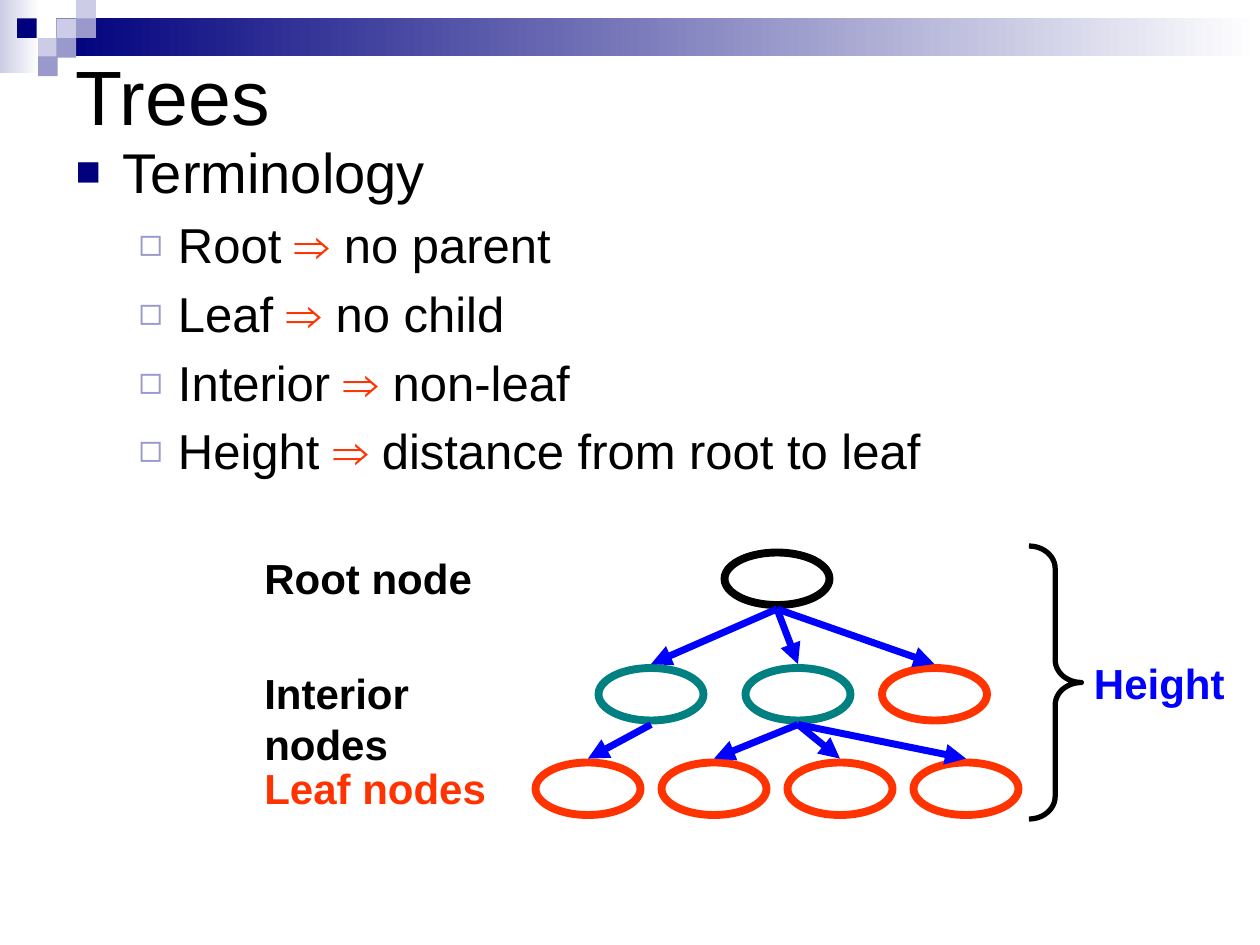
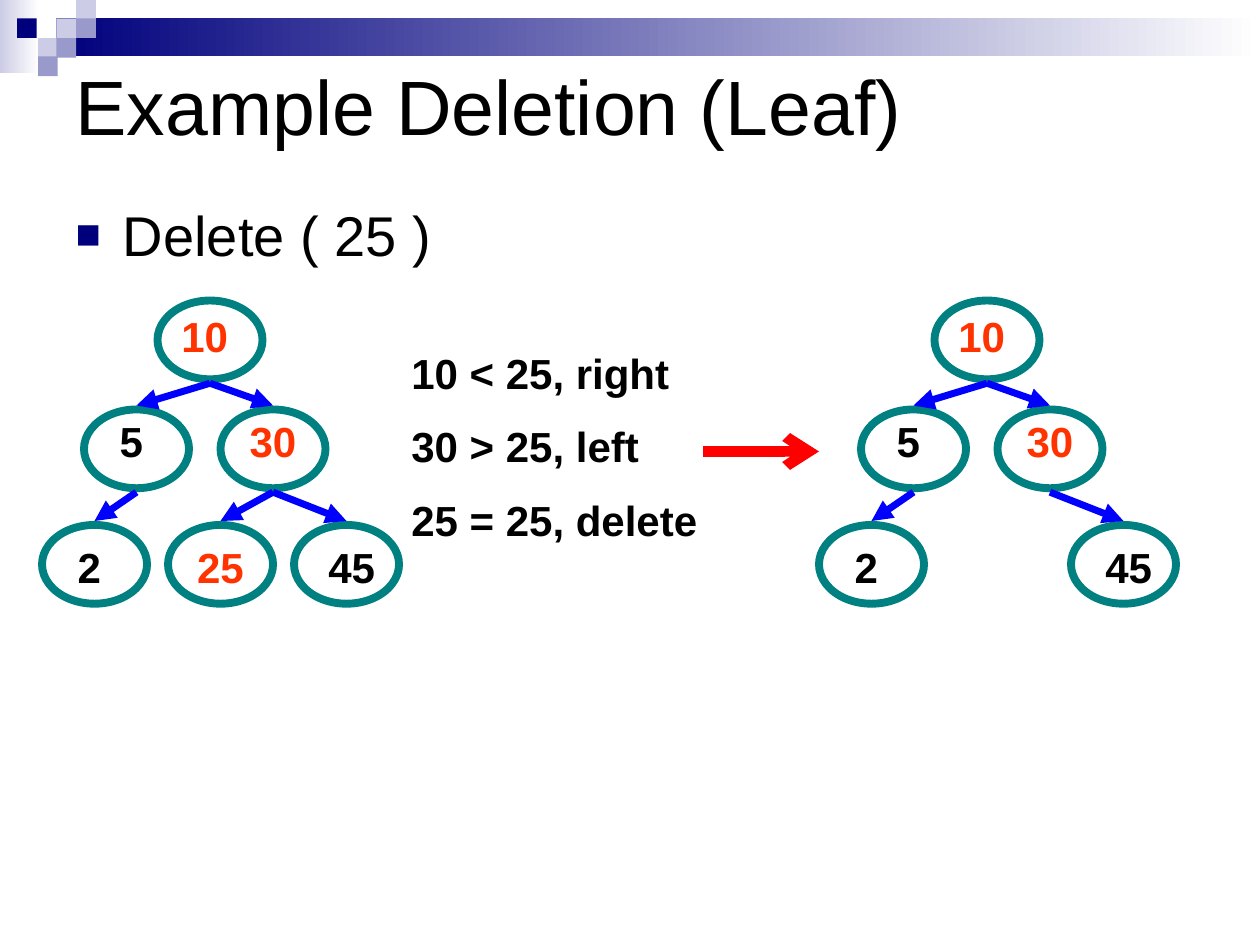
import pptx
import pptx.util
import pptx.dml.color
import pptx.enum.shapes
import pptx.enum.text
import pptx.oxml
import pptx.oxml.ns
import lxml.etree

Pt = pptx.util.Pt
RGB = pptx.dml.color.RGBColor
Shape = pptx.enum.shapes.MSO_SHAPE
Align = pptx.enum.text.PP_ALIGN
Fit = pptx.enum.text.MSO_AUTO_SIZE
qn = pptx.oxml.ns.qn

PX = 9525
FONT = "Arial"
BLACK = RGB(0x00, 0x00, 0x00)
WHITE = RGB(0xFF, 0xFF, 0xFF)
NAVY = RGB(0x00, 0x00, 0x7D)
LILAC = RGB(0x99, 0x99, 0xCC)
PALE = RGB(0xCC, 0xCC, 0xE6)
TEAL = RGB(0x00, 0x80, 0x80)
ORANGE = RGB(0xFF, 0x33, 0x00)
BLUE = RGB(0x00, 0x00, 0xFF)
RED = RGB(0xFF, 0x00, 0x00)

BANDS = [((0, 0, 30, 56), PALE), ((43, 14, 917, 29), NAVY)]
TILE = 15
TILES = [(43, 14, PALE), (58, 0, PALE), (58, 14, LILAC), (29, 29, PALE),
         (13, 14, NAVY), (43, 29, LILAC), (29, 43, LILAC)]

BULLETS = [("■", NAVY, 75, 36, 36, 32), ("◻", LILAC, 80, 78, 30, 28)]

TERMS = [("Root ", "no parent"), ("Leaf ", "no child"),
         ("Interior ", "non-leaf"),
         ("Height ", "distance from root to leaf")]
TERM_LIST = [(0, [("Terminology", BLACK)])] + [
    (1, [(term, BLACK), ("⇒ ", ORANGE), (sense, BLACK)])
    for term, sense in TERMS]
DELETE_LIST = [(0, [("Delete ( 25 )", BLACK)])]

KINDS = {
    "root": (552, 421, BLACK),
    "in1": (456, 509, TEAL), "in2": (568, 509, TEAL),
    "leaf0": (672, 509, ORANGE),
    **{f"leaf{n}": (312 + 96 * n, 581, ORANGE) for n in range(1, 5)},
}
KIND_EDGES = [("root", "in1"), ("root", "in2"), ("root", "leaf0"),
              ("in1", "leaf1"), ("in2", "leaf2"), ("in2", "leaf3"),
              ("in2", "leaf4")]
KIND_TAGS = [("Root node", 192, 416, 178, BLACK),
             ("Interior nodes", 192, 504, 232, BLACK),
             ("Leaf nodes", 192, 576, 188, ORANGE),
             ("Height", 824, 496, 119, BLUE)]

KEYS = {"10": (120, 229, TEAL), "5": (64, 312, TEAL), "30": (168, 312, TEAL),
        "2": (32, 400, TEAL), "25": (128, 400, TEAL), "45": (224, 400, TEAL)}
KEY_EDGES = [("10", "5"), ("10", "30"), ("5", "2"), ("30", "25"),
             ("30", "45")]
KEY_TAGS = {"10": (128, 232, 56, ORANGE), "5": (80, 312, 40, BLACK),
            "30": (176, 312, 64, ORANGE), "2": (48, 408, 40, BLACK),
            "25": (136, 408, 64, ORANGE), "45": (240, 408, 56, BLACK)}
TREES = [(0, ""), (592, "25")]
STEPS = ["10 < 25, right", "30 > 25, left", "25 = 25, delete"]


def scale(*sizes):
    return [size * PX for size in sizes]


def add_run(para, text, size, color, bold=False):
    run = para.add_run()
    run.text = text
    font = run.font
    font.name, font.size, font.bold = FONT, Pt(size), bold
    font.color.rgb = color


def add_rect(slide, box, color, fade=False):
    rect = slide.shapes.add_shape(Shape.RECTANGLE, *scale(*box))
    rect.shadow.inherit = False
    rect.line.fill.background()
    if fade:
        rect.fill.gradient()
        rect.fill.gradient_angle = 0
        for stop, tint in zip(rect.fill.gradient_stops, (color, WHITE)):
            stop.color.rgb = tint
    else:
        rect.fill.solid()
        rect.fill.fore_color.rgb = color
    return rect


def add_bands(deck, slide):
    parts = [add_rect(slide, box, color, True) for box, color in BANDS]
    parts += [add_rect(slide, (x, y, TILE, TILE), color)
              for x, y, color in TILES]
    for part in parts:
        deck.slide_master.shapes.element.append(part.element)


def place(shape, *box):
    shape.left, shape.top, shape.width, shape.height = scale(*box)


def add_title(slide, text, top):
    title = slide.shapes.title
    place(title, 48, top, 864, 144)
    title.text_frame.auto_size = Fit.NONE
    para = title.text_frame.paragraphs[0]
    para.alignment = Align.LEFT
    add_run(para, text, 44, BLACK)


def set_bullet(para, level):
    char, color, ratio, left, hang, size = BULLETS[level]
    props = para._p.get_or_add_pPr()
    props.set("marL", str(left * PX))
    props.set("indent", str(-hang * PX))
    tint = lxml.etree.SubElement(props, qn("a:buClr"))
    lxml.etree.SubElement(tint, qn("a:srgbClr")).set("val", str(color))
    lxml.etree.SubElement(props, qn("a:buSzPct")).set("val", str(ratio * 1000))
    lxml.etree.SubElement(props, qn("a:buChar")).set("char", char)
    para.level = level
    return size


def add_list(slide, items, top, height):
    body = slide.placeholders[1]
    place(body, 48, top, 864, height)
    frame = body.text_frame
    frame.auto_size = Fit.NONE
    frame.margin_top = 9 * PX
    for n, (level, runs) in enumerate(items):
        para = frame.add_paragraph() if n else frame.paragraphs[0]
        size = set_bullet(para, level)
        if n == 0:
            para.space_before = Pt(0)
        for text, color in runs:
            add_run(para, text, size, color)


def add_text(slide, lines, box, color, align=Align.LEFT, wrap=True, gap=0):
    frame = slide.shapes.add_textbox(*scale(*box)).text_frame
    frame.word_wrap = wrap
    frame.auto_size = Fit.SHAPE_TO_FIT_TEXT
    for n, line in enumerate(lines):
        para = frame.add_paragraph() if n else frame.paragraphs[0]
        para.alignment = align
        para.space_before = Pt(gap if n else 0)
        add_run(para, line, 24, color, True)
    return frame


def add_outline(slide, kind, box, color, width):
    shape = slide.shapes.add_shape(kind, *scale(*box))
    shape.shadow.inherit = False
    shape.fill.background()
    shape.line.color.rgb = color
    shape.line.width = Pt(width)
    return shape


def add_arrow(slide, start, end, color, width, head):
    line = slide.shapes.add_connector(
        pptx.enum.shapes.MSO_CONNECTOR.STRAIGHT, *scale(*start, *end))
    line.line.color.rgb = color
    line.line.width = Pt(width)
    props = line.line._get_or_add_ln()
    lxml.etree.SubElement(props, qn("a:tailEnd")).set("type", head)
    lxml.etree.SubElement(line.element.spPr, qn("a:effectLst"))


def add_tree(slide, nodes, edges, tall, shift=0):
    wide, gap = 80, 3
    for x, y, color in nodes.values():
        add_outline(slide, Shape.OVAL, (x + shift, y, wide, tall), color, 4.5)
    for top, low in edges:
        if top in nodes and low in nodes:
            (x1, y1, _), (x2, y2, _) = nodes[top], nodes[low]
            mid = shift + wide // 2
            add_arrow(slide, (x1 + mid, y1 + tall + gap),
                      (x2 + mid, y2 - gap), BLUE, 4, "triangle")


def add_terms(slide):
    add_title(slide, "Trees", 0)
    add_list(slide, TERM_LIST, 96, 475)
    add_tree(slide, KINDS, KIND_EDGES, 40)
    for text, x, y, wide, color in KIND_TAGS:
        add_text(slide, [text], (x, y, wide, 48), color, wrap=False)
    brace = add_outline(slide, Shape.RIGHT_BRACE, (784, 416, 40, 208),
                        BLACK, 3)
    brace.adjustments[0] = 0.43
    brace.adjustments[1] = 0.5


def add_delete(slide):
    add_title(slide, "Example Deletion (Leaf)", 8)
    add_list(slide, DELETE_LIST, 144, 408)
    for shift, gone in TREES:
        nodes = {key: node for key, node in KEYS.items() if key != gone}
        add_tree(slide, nodes, KEY_EDGES, 60, shift)
        for key in nodes:
            x, y, wide, color = KEY_TAGS[key]
            add_text(slide, [key], (x + shift, y, wide, 48), color,
                     Align.CENTER)
    steps = add_text(slide, STEPS, (304, 256, 240, 163), BLACK, gap=13)
    steps.margin_top = 9 * PX
    add_arrow(slide, (536, 344), (624, 344), RED, 6, "arrow")


def main():
    deck = pptx.Presentation()
    deck.slide_width, deck.slide_height = scale(960, 720)
    for n, build in enumerate((add_terms, add_delete)):
        slide = deck.slides.add_slide(deck.slide_layouts[1])
        if n == 0:
            add_bands(deck, slide)
        build(slide)
    deck.save("out.pptx")


if __name__ == "__main__":
    main()
